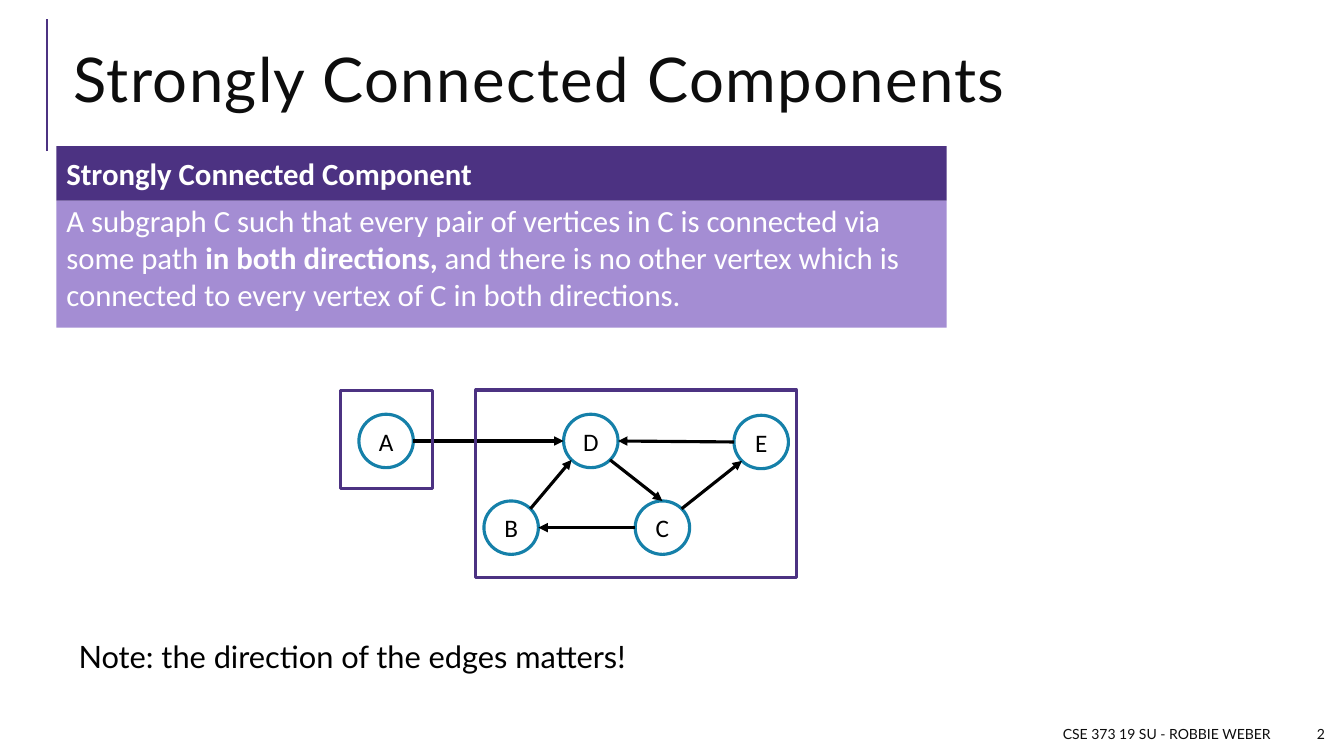
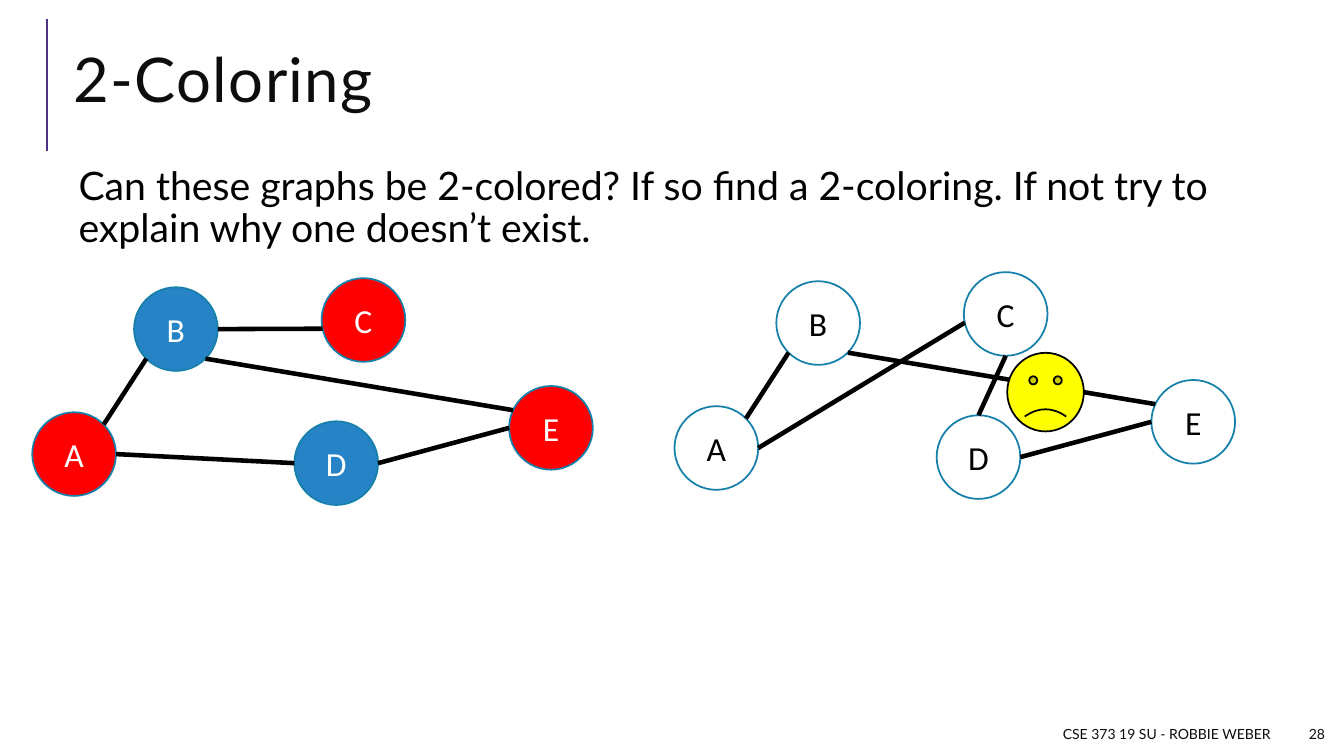
from dataclasses import dataclass
from math import cos, radians, sin

from lxml.etree import SubElement
from pptx import Presentation
from pptx.dml.color import RGBColor
from pptx.enum.shapes import MSO_CONNECTOR, MSO_SHAPE
from pptx.enum.text import MSO_ANCHOR as Anchor, PP_ALIGN as Align
from pptx.oxml.ns import qn
from pptx.util import Inches, Pt


@dataclass(frozen=True)
class Theme:
    heading_font: str = "Lato"
    shape_font: str = "Calibri"
    ink: str = "0D0D0D"
    black: str = "000000"
    white: str = "FFFFFF"
    purple: str = "4C3282"
    lilac: str = "A48DD3"
    outline: str = "1580A9"
    blue: str = "2683C6"
    red: str = "FF0000"
    yellow: str = "FFFF00"
    title_size: float = 44
    question_size: float = 28
    text_size: float = 22
    footer_size: float = 10


THEME = Theme()
FOOTER = "CSE 373 19 SU - ROBBIE WEBER"

DEFINITION_TERM = "Strongly Connected Component"
# Each run is (text, bold)
DEFINITION = [
    ("A subgraph C such that every pair of vertices in C is connected via some path ", False),
    ("in both directions, ", True),
    ("and there is no other vertex which is connected to every vertex of C in both directions.", False),
]
NOTE = "Note: the direction of the edges matters!"
QUESTION = ("Can these graphs be 2-colored? If so find a 2-coloring. "
            "If not try to explain why one doesn’t exist.")

# Angles on a node's rim, clockwise from the right
RIGHT, LOWER_RIGHT, BOTTOM, LOWER_LEFT = 0, 45, 90, 135
LEFT, TOP, UPPER_RIGHT = 180, 270, 315
JUST_BELOW_LEFT, ABOVE_LEFT = 168, 205

# Nodes: name -> (left, top); edges: (from, angle, to, angle)
COMPONENT_NODES = {"D": (5.59, 4.11), "B": (4.8, 4.97), "C": (6.3, 4.97),
                   "A": (3.56, 4.11), "E": (7.28, 4.12)}
COMPONENT_EDGES = [
    ("B", UPPER_RIGHT, "D", LOWER_LEFT),
    ("D", LOWER_RIGHT, "C", TOP),
    ("C", LEFT, "B", RIGHT),
    ("A", RIGHT, "D", LEFT),
    ("C", UPPER_RIGHT, "E", LOWER_LEFT),
    ("E", LEFT, "D", RIGHT),
]
COMPONENT_FRAMES = [(4.72, 3.87, 3.18, 1.86), (3.38, 3.87, 0.91, 0.98)]

COLORING_NODES = {"B": (1.33, 2.85), "D": (2.92, 4.18), "E": (5.05, 3.83),
                  "A": (0.32, 4.09), "C": (3.19, 2.76)}
COLORING = {"A": THEME.red, "B": THEME.blue, "C": THEME.red,
            "D": THEME.blue, "E": THEME.red}
COMMON_EDGES = [
    ("E", ABOVE_LEFT, "B", LOWER_RIGHT),
    ("D", RIGHT, "E", LEFT),
    ("A", UPPER_RIGHT, "B", LOWER_LEFT),
]
COLORABLE_EDGES = COMMON_EDGES + [
    ("B", RIGHT, "C", JUST_BELOW_LEFT),
    ("A", RIGHT, "D", LEFT),
]
ODD_CYCLE_EDGES = COMMON_EDGES + [
    ("A", RIGHT, "C", JUST_BELOW_LEFT),
    ("C", BOTTOM, "D", TOP),
]
ODD_CYCLE_SHIFT = (6.37, -0.06)


def color(value):
    return RGBColor.from_string(value)


def write(shape, text, *, size, ink=THEME.black, font=THEME.shape_font, bold=False,
          align=Align.LEFT, anchor=Anchor.MIDDLE, insets=(0.1, 0.05, 0.1, 0.05),
          line_spacing=None, tracking=None):
    """Fill a shape with one paragraph; text is a string or a list of (text, bold) runs."""
    frame = shape.text_frame
    frame.word_wrap = True
    frame.vertical_anchor = anchor
    (frame.margin_left, frame.margin_top,
     frame.margin_right, frame.margin_bottom) = map(Inches, insets)
    para = frame.paragraphs[0]
    para.alignment = align
    if line_spacing:
        para.line_spacing = line_spacing
    for words, heavy in [(text, bold)] if isinstance(text, str) else text:
        span = para.add_run()
        span.text = words
        span.font.name = font
        span.font.size = Pt(size)
        span.font.bold = heavy
        span.font.color.rgb = color(ink)
        if tracking:
            span.font._element.set("spc", str(tracking * 100))


def add_text(page, at, text, **style):
    box = page.shapes.add_textbox(*map(Inches, at))
    write(box, text, **style)


def add_box(page, kind, at, *, fill=None, line=None, width=1.25):
    box = page.shapes.add_shape(kind, *map(Inches, at))
    box.shadow.inherit = False
    if fill:
        box.fill.solid()
        box.fill.fore_color.rgb = color(fill)
    else:
        box.fill.background()
    if line:
        box.line.color.rgb = color(line)
        box.line.width = Pt(width)
    else:
        box.line.fill.background()
    return box


def add_line(page, start, end, *, ink=THEME.black, width, arrow=False):
    line = page.shapes.add_connector(MSO_CONNECTOR.STRAIGHT, *map(Inches, (*start, *end)))
    line.line.color.rgb = color(ink)
    line.line.width = Pt(width)
    if arrow:
        SubElement(line.line._get_or_add_ln(), qn("a:tailEnd"), type="triangle")
    SubElement(line._element.spPr, qn("a:effectLst"))


def add_graph(page, nodes, edges, *, node_size, text_size, outline, edge_width,
              fills=None, ink=THEME.black, arrow=False, shift=(0, 0)):
    width, height = node_size
    places = {name: (left + shift[0], top + shift[1])
              for name, (left, top) in nodes.items()}

    def rim(name, angle):
        left, top = places[name]
        return (left + width / 2 * (1 + cos(radians(angle))),
                top + height / 2 * (1 + sin(radians(angle))))

    for name, place in places.items():
        node = add_box(page, MSO_SHAPE.OVAL, (*place, width, height),
                       fill=fills[name] if fills else THEME.white,
                       line=THEME.outline, width=outline)
        write(node, name, size=text_size, ink=ink, align=Align.CENTER,
              insets=(0, 0.05, 0, 0.05))
    for source, leaving, target, arriving in edges:
        add_line(page, rim(source, leaving), rim(target, arriving),
                 width=edge_width, arrow=arrow)


def add_page(deck, title, number):
    page = deck.slides.add_slide(deck.slide_layouts[6])
    add_line(page, (0.47, 1.5), (0.47, 0.19), ink=THEME.purple, width=1.5)
    add_text(page, (0.63, 0.29, 12.23, 1.11), title, size=THEME.title_size,
             font=THEME.heading_font, ink=THEME.ink, line_spacing=0.8, tracking=1)
    for at, text in [((6.25, 7.13, 6.45, 0.3), FOOTER),
                     ((12.78, 7.13, 0.46, 0.3), str(number))]:
        add_text(page, at, text, size=THEME.footer_size, font=THEME.heading_font,
                 ink=THEME.ink, align=Align.RIGHT)
    return page


def add_body(page, top, height, text, size):
    add_text(page, (0.63, top, 12.23, height), text, size=size,
             font=THEME.heading_font, anchor=Anchor.TOP, line_spacing=0.9,
             insets=(0.15, 0.05, 0.05, 0.05))


def add_definition(page):
    left, top, width, head, rest = 0.56, 1.45, 8.83, 0.54, 1.26
    body = add_box(page, MSO_SHAPE.RECTANGLE, (left, top + head, width, rest),
                   fill=THEME.lilac)
    write(body, DEFINITION, size=THEME.text_size, ink=THEME.white,
          insets=(0.1, 0.05, 0.1, 0.19))
    header = add_box(page, MSO_SHAPE.RECTANGLE, (left, top, width, head),
                     fill=THEME.purple)
    write(header, DEFINITION_TERM, size=THEME.text_size, ink=THEME.white, bold=True)


def build_components(deck):
    page = add_page(deck, "Strongly Connected Components", 2)
    add_body(page, 6.32, 0.82, NOTE, THEME.text_size)
    add_definition(page)
    add_graph(page, COMPONENT_NODES, COMPONENT_EDGES, node_size=(0.54, 0.53),
              text_size=18, outline=2.25, edge_width=2.25, arrow=True)
    for frame in COMPONENT_FRAMES:
        add_box(page, MSO_SHAPE.RECTANGLE, frame, line=THEME.purple, width=2.25)


def build_coloring(deck):
    page = add_page(deck, "2-Coloring", 28)
    add_body(page, 1.6, 0.96, QUESTION, THEME.question_size)
    style = dict(node_size=(0.83, 0.83), text_size=24, outline=1.25, edge_width=3.25)
    add_graph(page, COLORING_NODES, COLORABLE_EDGES, fills=COLORING,
              ink=THEME.white, **style)
    add_graph(page, COLORING_NODES, ODD_CYCLE_EDGES, shift=ODD_CYCLE_SHIFT, **style)
    frown = add_box(page, MSO_SHAPE.SMILEY_FACE, (9.99, 3.5, 0.76, 0.78),
                    fill=THEME.yellow, line=THEME.black)
    frown.adjustments[0] = -0.047


def main():
    deck = Presentation()
    deck.slide_width, deck.slide_height = Inches(13.33), Inches(7.5)
    build_components(deck)
    build_coloring(deck)
    deck.save("out.pptx")


if __name__ == "__main__":
    main()
